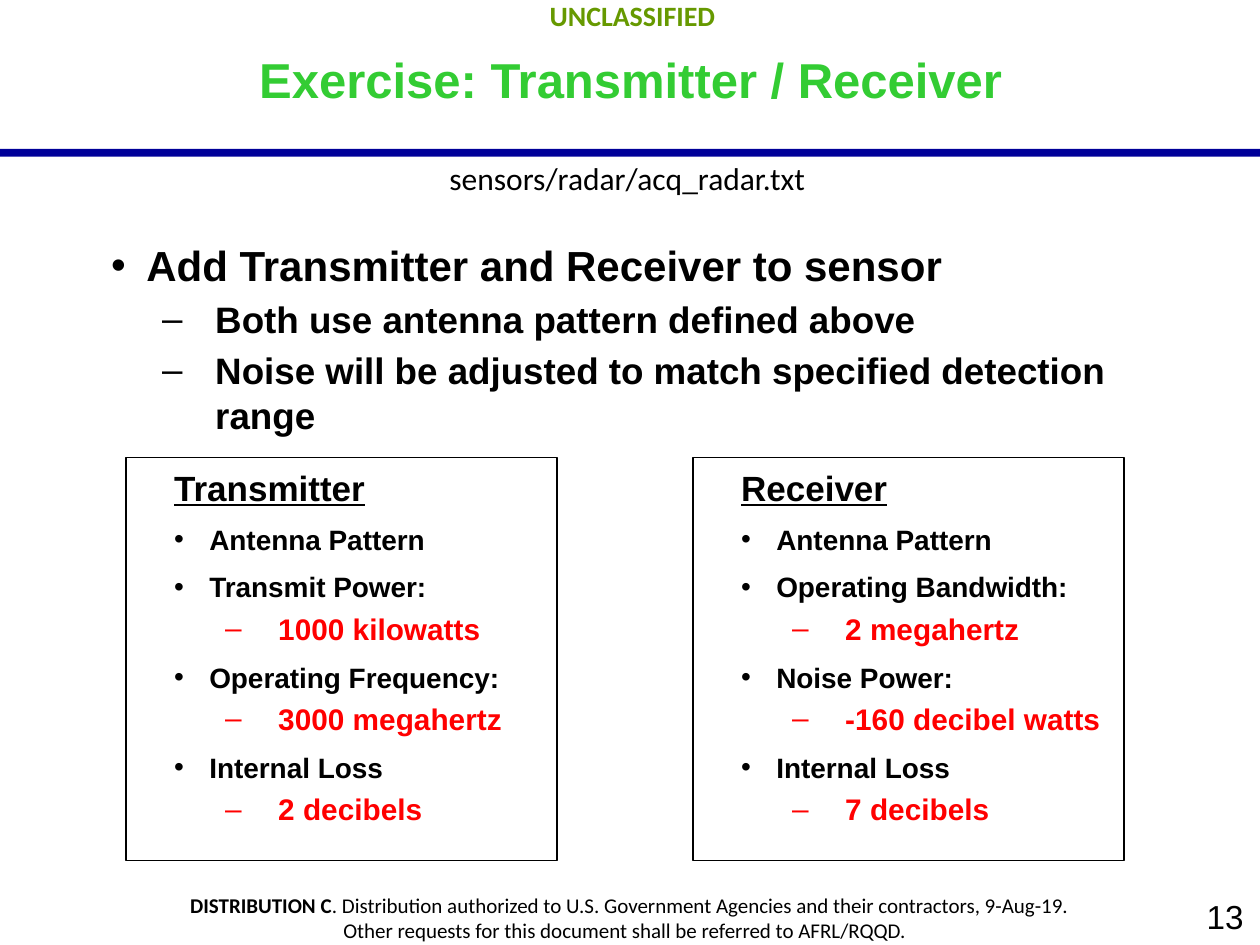
from dataclasses import dataclass

from lxml.etree import SubElement
from pptx import Presentation
from pptx.dml.color import RGBColor as RGB
from pptx.enum.shapes import MSO_SHAPE as Shape
from pptx.enum.text import MSO_ANCHOR as Anchor, MSO_AUTO_SIZE as AutoSize, PP_ALIGN as Align
from pptx.oxml.ns import qn
from pptx.util import Cm, Pt


@dataclass(frozen=True)
class Theme:
    heading_font: str = "Arial"
    label_font: str = "Calibri"
    black: RGB = RGB(0, 0, 0)
    navy: RGB = RGB(0x00, 0x00, 0x99)
    marking: RGB = RGB(0x66, 0x99, 0x00)
    title: RGB = RGB(0x33, 0xCC, 0x33)
    value: RGB = RGB(0xFF, 0x00, 0x00)
    title_size: int = 28
    topic_size: int = 24
    point_size: int = 21
    panel_title_size: int = 20
    number_size: int = 19
    path_size: int = 18
    value_size: int = 17
    marking_size: int = 16
    field_size: int = 16
    notice_size: int = 12


THEME = Theme()

# Bullet character, left margin and hanging indent (cm), space before (pt)
TOP_LEVEL = ("•", 1.35, -0.71, 8)
SUB_LEVEL = ("–", 2.74, -1.07, 4)

PANELS = [
    ("Transmitter", [
        ("Antenna Pattern", None),
        ("Transmit Power:", "1000 kilowatts"),
        ("Operating Frequency:", "3000 megahertz"),
        ("Internal Loss", "2 decibels"),
    ]),
    ("Receiver", [
        ("Antenna Pattern", None),
        ("Operating Bandwidth:", "2 megahertz"),
        ("Noise Power:", "-160 decibel watts"),
        ("Internal Loss", "7 decibels"),
    ]),
]


def set_frame(shape, anchor=Anchor.TOP):
    frame = shape.text_frame
    frame.word_wrap = True
    frame.auto_size = AutoSize.NONE
    frame.vertical_anchor = anchor
    frame.margin_left = frame.margin_right = Cm(0.33)
    frame.margin_top = frame.margin_bottom = Cm(0.18)
    return frame


def style(run, size, color=THEME.black, bold=True, name=THEME.heading_font):
    font = run.font
    font.name, font.size, font.bold = name, Pt(size), bold
    font.color.rgb = color


def indent(paragraph, left, first):
    properties = paragraph._p.get_or_add_pPr()
    properties.set("marL", str(Cm(left)))
    properties.set("indent", str(Cm(first)))
    return properties


def add_bullet(frame, text, level, size, color=THEME.black):
    """Fill the first paragraph if it is empty, else append one."""
    first = frame.paragraphs[0]
    is_first = not first.text
    paragraph = first if is_first else frame.add_paragraph()
    character, left, hanging, space = level
    properties = indent(paragraph, left, hanging)
    SubElement(properties, qn("a:buClr")).append(
        properties.makeelement(qn("a:srgbClr"), {"val": str(THEME.black if color != THEME.value else color)}))
    SubElement(properties, qn("a:buFont"), typeface=THEME.heading_font)
    SubElement(properties, qn("a:buChar"), char=character)
    paragraph.level = 1 if level is SUB_LEVEL else 0
    paragraph.alignment = Align.LEFT
    paragraph.space_before = Pt(0 if is_first else space)
    paragraph.text = text
    style(paragraph.runs[0], size, color)
    return paragraph


def add_line(slide, box, text, align, size, color, bold, name, anchor=Anchor.TOP):
    frame = set_frame(slide.shapes.add_textbox(*map(Cm, box)), anchor)
    frame.text = text
    paragraph = frame.paragraphs[0]
    paragraph.alignment = align
    style(paragraph.runs[0], size, color, bold, name)
    return frame


def add_rectangle(slide, box):
    rectangle = slide.shapes.add_shape(Shape.RECTANGLE, *map(Cm, box))
    rectangle.shadow.inherit = False
    return rectangle


def add_rule(slide, box):
    rule = add_rectangle(slide, box)
    rule.fill.solid()
    rule.fill.fore_color.rgb = THEME.navy
    rule.line.fill.background()


def add_distribution_notice(slide, box):
    frame = set_frame(slide.shapes.add_textbox(*map(Cm, box)))
    lines = [
        [("DISTRIBUTION C", True),
         (". Distribution authorized to U.S. Government Agencies and their contractors, 9-Aug-19.", False)],
        [("Other requests for this document shall be referred to AFRL/RQQD.  ", False)],
    ]
    for number, parts in enumerate(lines):
        paragraph = frame.add_paragraph() if number else frame.paragraphs[0]
        paragraph.alignment = Align.CENTER
        for text, bold in parts:
            run = paragraph.add_run()
            run.text = text
            style(run, THEME.notice_size, bold=bold, name=THEME.label_font)


def set_title(slide, box, text):
    title = slide.shapes.title
    title.left, title.top, title.width, title.height = map(Cm, box)
    frame = set_frame(title, Anchor.MIDDLE)
    frame.text = text
    frame.paragraphs[0].alignment = Align.CENTER
    style(frame.paragraphs[0].runs[0], THEME.title_size, THEME.title)


def add_task(slide, box, topic, points):
    frame = set_frame(slide.shapes.add_textbox(*map(Cm, box)))
    add_bullet(frame, topic, TOP_LEVEL, THEME.topic_size).line_spacing = 1.2
    for point in points:
        add_bullet(frame, point, SUB_LEVEL, THEME.point_size)


def add_panel(slide, box, heading, fields):
    panel = add_rectangle(slide, box)
    panel.fill.background()
    panel.line.color.rgb = THEME.black
    panel.line.width = Pt(0.75)
    frame = set_frame(panel)
    frame.text = heading
    paragraph = frame.paragraphs[0]
    paragraph.alignment = Align.LEFT
    indent(paragraph, 0.64, 0)
    style(paragraph.runs[0], THEME.panel_title_size)
    paragraph.runs[0].font.underline = True
    for field, value in fields:
        add_bullet(frame, field, TOP_LEVEL, THEME.field_size)
        if value:
            add_bullet(frame, value, SUB_LEVEL, THEME.value_size, THEME.value)


def add_file_path(slide, box, text):
    frame = add_line(slide, box, text, Align.LEFT, THEME.path_size, THEME.black, False, THEME.label_font)
    frame.word_wrap = False
    frame.margin_left = frame.margin_right = Cm(0.25)
    frame.margin_top = frame.margin_bottom = Cm(0.13)


def main():
    presentation = Presentation()
    presentation.slide_width, presentation.slide_height = Cm(25.4), Cm(19.05)
    slide = presentation.slides.add_slide(presentation.slide_layouts[5])

    add_rule(slide, (0, 3, 25.4, 0.16))
    add_line(slide, (20.32, 17.91, 5.08, 1.14), "13", Align.RIGHT, THEME.number_size,
             THEME.black, False, THEME.heading_font, Anchor.MIDDLE)
    add_line(slide, (0.05, -0.2, 25.4, 1.02), "UNCLASSIFIED", Align.CENTER, THEME.marking_size,
             THEME.marking, True, THEME.label_font)
    add_distribution_notice(slide, (-0.03, 17.81, 25.45, 1.37))
    set_title(slide, (3.5, 0, 18.42, 3.18), "Exercise: Transmitter / Receiver")
    add_task(slide, (1.27, 4.45, 22.86, 4.77), "Add Transmitter and Receiver to sensor", [
        "Both use antenna pattern defined above",
        "Noise will be adjusted to match specified detection range",
    ])
    for column, (heading, fields) in enumerate(PANELS):
        add_panel(slide, (2.54 + column * 11.43, 9.22, 8.69, 8.13), heading, fields)
    add_file_path(slide, (8.81, 3.07, 7.75, 1.02), "sensors/radar/acq_radar.txt")

    presentation.save("out.pptx")


if __name__ == "__main__":
    main()
